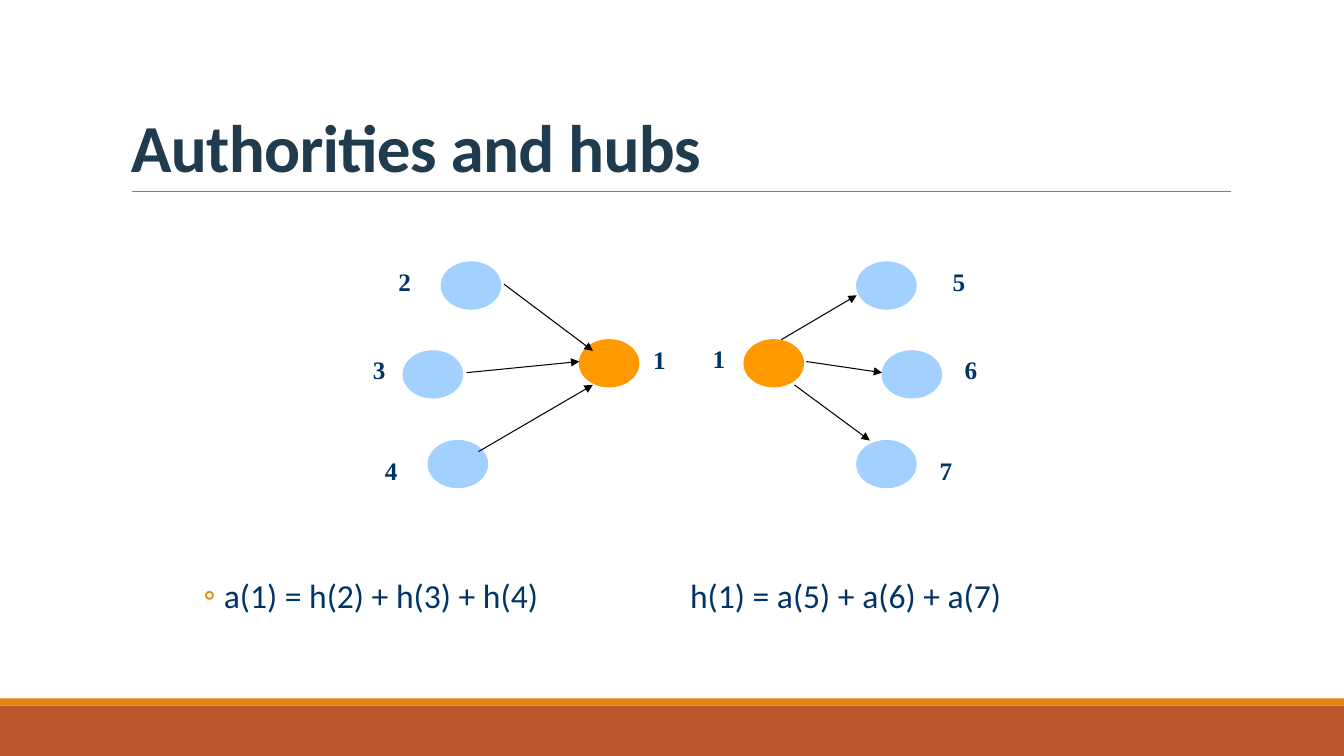
from lxml import etree
from pptx import Presentation
from pptx.dml.color import RGBColor
from pptx.enum.shapes import MSO_CONNECTOR, MSO_SHAPE
from pptx.enum.text import MSO_ANCHOR
from pptx.oxml.ns import qn
from pptx.util import Cm, Pt

RECT, OVAL = MSO_SHAPE.RECTANGLE, MSO_SHAPE.OVAL
LINE = MSO_CONNECTOR.STRAIGHT
TOP, BASE = MSO_ANCHOR.TOP, MSO_ANCHOR.BOTTOM

RUST = RGBColor(0xBD, 0x58, 0x2C)
AMBER = RGBColor(0xE4, 0x83, 0x12)
GRAY = RGBColor(0x80, 0x80, 0x80)
SLATE = RGBColor(0x20, 0x3A, 0x4E)
NAVY = RGBColor(0x00, 0x33, 0x66)
SKY = RGBColor(0xA3, 0xD1, 0xFF)
ORANGE = RGBColor(0xFF, 0x99, 0x00)
BLACK = RGBColor(0, 0, 0)

WIDE, HIGH = 33.87, 19.05
NODE_W, NODE_H = 1.5, 1.19

AUTHORITY = {
    "nodes": [(1.9, 0, SKY), (0.94, 2.24, SKY), (1.57, 4.5, SKY),
              (5.38, 1.96, ORANGE)],
    "labels": [("2", 0.64, 0), ("3", 0, 2.24), ("4", 0.3, 4.78),
               ("1", 7.06, 1.98)],
    "arrows": [(3.48, 0.56, 5.72, 2.24), (2.54, 2.79, 5.38, 2.51),
               (2.84, 4.78, 5.72, 3.1)],
}
HUB = {
    "nodes": [(3.81, 0, SKY), (4.45, 2.24, SKY), (3.81, 4.5, SKY),
              (0.97, 1.96, ORANGE)],
    "labels": [("5", 6.05, 0), ("6", 6.35, 2.24), ("7", 5.72, 4.78),
               ("1", 0, 1.96)],
    "arrows": [(1.91, 1.96, 3.81, 0.84), (2.54, 2.51, 4.45, 2.79),
               (2.24, 3.1, 4.14, 4.5)],
}


def add_text(slide, text, x, y, w, h, size=18, font="Calibri", color=NAVY,
             bold=False, anchor=TOP, inset=(0.25, 0.13), wrap=True,
             spacing=1.0, track=0):
    box = slide.shapes.add_textbox(Cm(x), Cm(y), Cm(w), Cm(h))
    frame = box.text_frame
    frame.word_wrap = wrap
    frame.vertical_anchor = anchor
    frame.margin_left = frame.margin_right = Cm(inset[0])
    frame.margin_top = frame.margin_bottom = Cm(inset[1])
    para = frame.paragraphs[0]
    para.line_spacing = spacing
    run = para.add_run()
    run.text = text
    run.font.size = Pt(size)
    run.font.name = font
    run.font.bold = bold
    run.font.color.rgb = color
    if track:
        run.font._element.set("spc", str(track))
    return para


def add_fill(slide, kind, x, y, w, h, color, edge=False):
    shape = slide.shapes.add_shape(kind, Cm(x), Cm(y), Cm(w), Cm(h))
    shape.shadow.inherit = False
    shape.fill.solid()
    shape.fill.fore_color.rgb = color
    if edge:
        shape.line.color.rgb = color
        shape.line.width = Pt(0.75)
    else:
        shape.line.fill.background()


def add_line(slide, x1, y1, x2, y2, color, width, arrow=False):
    line = slide.shapes.add_connector(LINE, Cm(x1), Cm(y1), Cm(x2), Cm(y2))
    line.line.color.rgb = color
    line.line.width = Pt(width)
    if arrow:
        etree.SubElement(line.line._get_or_add_ln(), qn("a:tailEnd"),
                         type="triangle")
    etree.SubElement(line._element.spPr, qn("a:effectLst"))


def add_bullet(para, mark, color, left, hang, stop):
    props = para._p.get_or_add_pPr()
    props.set("marL", str(Cm(left)))
    props.set("indent", str(-Cm(hang)))
    tint = etree.SubElement(props, qn("a:buClr"))
    etree.SubElement(tint, qn("a:srgbClr"), val=str(color))
    etree.SubElement(props, qn("a:buFont"), typeface="Calibri")
    etree.SubElement(props, qn("a:buChar"), char=mark)
    tabs = etree.SubElement(props, qn("a:tabLst"))
    etree.SubElement(tabs, qn("a:tab"), pos=str(Cm(stop)), algn="l")


def draw_footer(slide, x, y, w, h):
    strip = 0.18
    add_fill(slide, RECT, x, y + strip, w, h - strip, RUST)
    add_fill(slide, RECT, x, y, w, strip, AMBER)


def draw_title(slide, x, y, w, h):
    add_text(slide, "Authorities and hubs", x, y, w, h, size=48, color=SLATE,
             bold=True, anchor=BASE, spacing=0.85, track=-50)
    add_line(slide, x + 0.28, y + h, x + w + 0.02, y + h, GRAY, 0.5)


def draw_graph(slide, x, y, graph):
    for dx, dy, color in graph["nodes"]:
        add_fill(slide, OVAL, x + dx, y + dy, NODE_W, NODE_H, color, edge=True)
    for x1, y1, x2, y2 in graph["arrows"]:
        add_line(slide, x + x1, y + y1, x + x2, y + y2, BLACK, 0.75, arrow=True)
    for name, dx, dy in graph["labels"]:
        add_text(slide, name, x + dx, y + dy, 0.69, 0.84, bold=True,
                 font="Times New Roman", inset=(0.18, 0.1), wrap=False)


def draw_sums(slide, x, y, w, h):
    para = add_text(slide, "a(1) = h(2) + h(3) + h(4)\th(1) = a(5) + a(6) + a(7)",
                    x, y, w, h, size=24, inset=(0, 0.13), spacing=0.8)
    add_bullet(para, "◦", AMBER, left=2.59, hang=0.51, stop=14.34)


def main():
    deck = Presentation()
    deck.slide_width, deck.slide_height = Cm(WIDE), Cm(HIGH)
    slide = deck.slides.add_slide(deck.slide_layouts[6])
    draw_footer(slide, 0, 17.6, WIDE, HIGH - 17.6)
    draw_title(slide, 3.05, 0.79, 27.94, 4.04)
    draw_graph(slide, 9.22, 6.6, AUTHORITY)
    draw_graph(slide, 17.78, 6.6, HUB)
    draw_sums(slide, 3.05, 14.55, 27.94, 1.2)
    deck.save("out.pptx")


if __name__ == "__main__":
    main()
